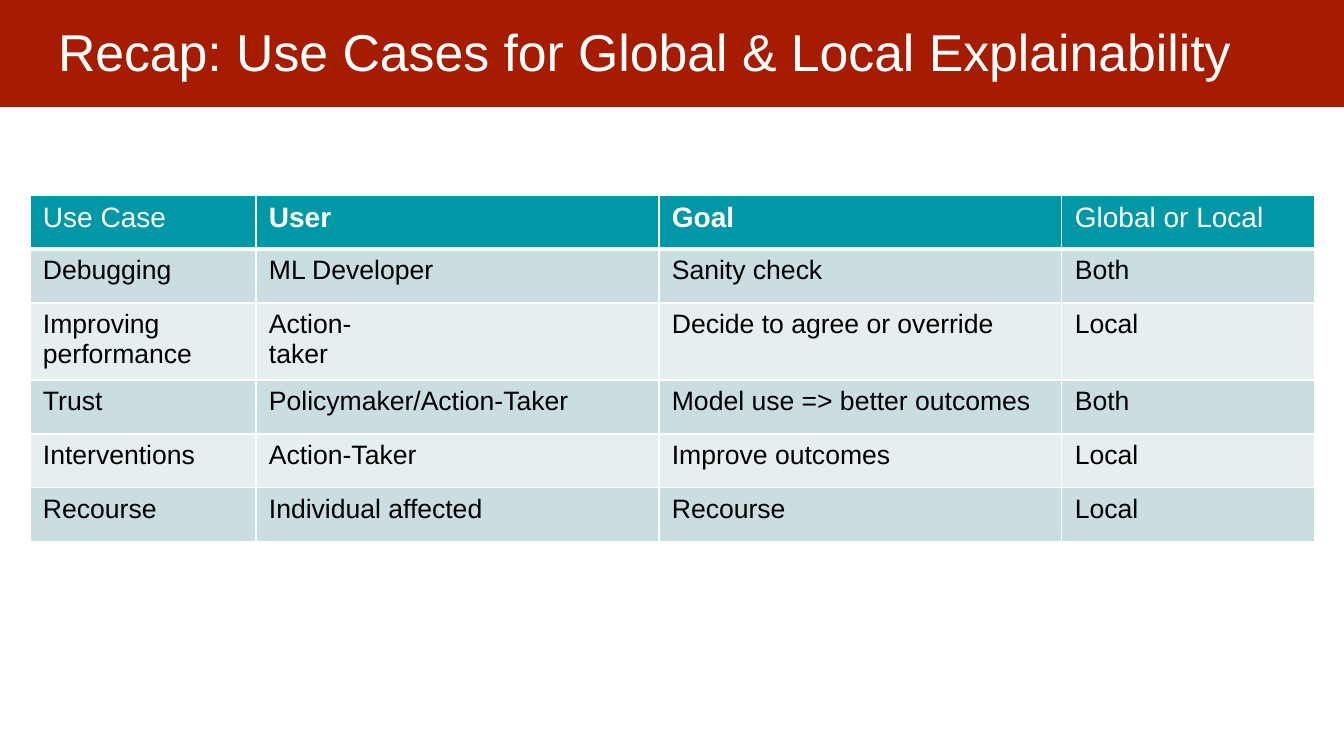
import pptx
import pptx.dml.color
import pptx.enum.shapes
import pptx.enum.text
import pptx.oxml
import pptx.oxml.ns
import pptx.util

PX_PER_INCH = 100.8
FONT = "Arial"
RED = pptx.dml.color.RGBColor(0xA6, 0x1C, 0x00)
TEAL = pptx.dml.color.RGBColor(0x00, 0x97, 0xA7)
DARK_BAND = pptx.dml.color.RGBColor(0xCA, 0xDD, 0xE1)
LIGHT_BAND = pptx.dml.color.RGBColor(0xE6, 0xEF, 0xF0)
WHITE = pptx.dml.color.RGBColor(0xFF, 0xFF, 0xFF)
BLACK = pptx.dml.color.RGBColor(0x00, 0x00, 0x00)

USE_CASES = [
    ["Use Case", "User", "Goal", "Global or Local"],
    ["Debugging", "ML Developer", "Sanity check", "Both"],
    ["Improving performance", "Action-\ntaker", "Decide to agree or override", "Local"],
    ["Trust", "Policymaker/Action-Taker", "Model use => better outcomes", "Both"],
    ["Interventions", "Action-Taker", "Improve outcomes", "Local"],
    ["Recourse", "Individual affected", "Recourse", "Local"],
]
BOLD_HEADINGS = ("User", "Goal")
COLUMN_WIDTHS = [226, 403, 403, 253]
ROW_HEIGHTS = [54, 54, 77, 54, 54, 54]


def px(length):
    return pptx.util.Inches(length / PX_PER_INCH)


class SlideBuilder:
    def __init__(self, page):
        self.page = page

    def format_text(self, frame, size, color, bold=False):
        for para in frame.paragraphs:
            for span in para.runs:
                span.font.name = FONT
                span.font.size = pptx.util.Pt(size)
                span.font.bold = bold
                span.font.color.rgb = color

    def banner(self, left, top, width, height):
        """Add a plain red bar behind everything else."""
        bar = self.page.shapes.add_shape(
            pptx.enum.shapes.MSO_SHAPE.RECTANGLE,
            px(left), px(top), px(width), px(height))
        bar.shadow.inherit = False
        bar.fill.solid()
        bar.fill.fore_color.rgb = RED
        bar.line.fill.background()
        self.page.shapes.element.insert(2, bar.element)

    def title(self, text, left, top, width, height):
        box = self.page.shapes.title
        box.left, box.top, box.width, box.height = map(px, (left, top, width, height))
        frame = box.text_frame
        frame.text = text
        frame.word_wrap = True
        frame.auto_size = pptx.enum.text.MSO_AUTO_SIZE.NONE
        frame.vertical_anchor = pptx.enum.text.MSO_ANCHOR.MIDDLE
        frame.margin_left = frame.margin_right = px(13)
        frame.margin_top = frame.margin_bottom = px(13)
        frame.paragraphs[0].alignment = pptx.enum.text.PP_ALIGN.LEFT
        self.format_text(frame, 37, WHITE)

    def table(self, rows, left, top, widths, heights):
        grid = self.page.shapes.add_table(
            len(rows), len(widths),
            px(left), px(top), px(sum(widths)), px(sum(heights))).table
        for column, width in zip(grid.columns, widths):
            column.width = px(width)
        for row, height in zip(grid.rows, heights):
            row.height = px(height)
        for index, texts in enumerate(rows):
            for column, text in enumerate(texts):
                self.cell(grid.cell(index, column), text, index)

    def cell(self, cell, text, row):
        cell.text = text
        cell.margin_left = cell.margin_right = px(13)
        cell.margin_top = cell.margin_bottom = px(7)
        cell.fill.solid()
        if row == 0:
            cell.fill.fore_color.rgb = TEAL
            self.format_text(cell.text_frame, 20, WHITE, text in BOLD_HEADINGS)
        else:
            cell.fill.fore_color.rgb = DARK_BAND if row % 2 else LIGHT_BAND
            self.format_text(cell.text_frame, 19, BLACK)
        self.borders(cell, top=3 if row == 1 else 1, bottom=3 if row == 0 else 1)

    def borders(self, cell, top, bottom):
        """Draw white cell edges; top and bottom are widths in points."""
        properties = cell._tc.get_or_add_tcPr()
        edges = [("lnL", 1), ("lnR", 1), ("lnT", top), ("lnB", bottom)]
        for position, (edge, points) in enumerate(edges):
            properties.insert(position, pptx.oxml.parse_xml(
                f'<a:{edge} {pptx.oxml.ns.nsdecls("a")} w="{pptx.util.Pt(points)}">'
                f'<a:solidFill><a:srgbClr val="{WHITE}"/></a:solidFill></a:{edge}>'))


def main():
    deck = pptx.Presentation()
    deck.slide_width, deck.slide_height = px(1344), px(756)
    page = deck.slides.add_slide(deck.slide_layouts.get_by_name("Title Only"))
    builder = SlideBuilder(page)
    builder.banner(-2, -4, 1347, 111)
    builder.title("Recap: Use Cases for Global & Local Explainability", 45, 9, 1252, 84)
    builder.table(USE_CASES, 30, 195, COLUMN_WIDTHS, ROW_HEIGHTS)
    deck.save("out.pptx")


if __name__ == "__main__":
    main()
